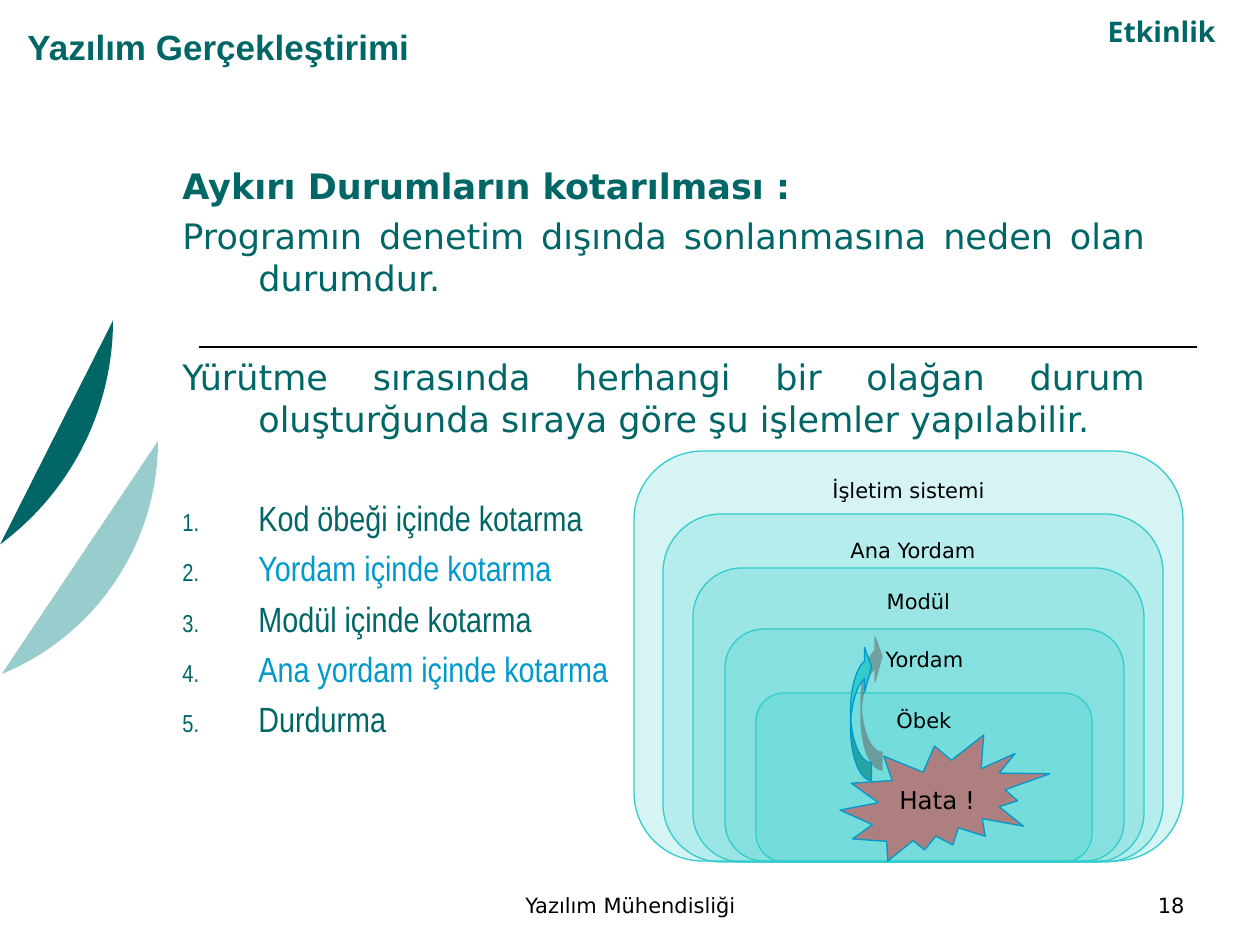
"""Builds the slide on exception handling with its nested scope diagram."""
from lxml import etree
from pptx import Presentation
from pptx.dml.color import RGBColor
from pptx.enum.shapes import MSO_CONNECTOR, MSO_SHAPE
from pptx.enum.text import MSO_ANCHOR, PP_ALIGN
from pptx.oxml.ns import qn
from pptx.util import Emu, Pt

STRAIGHT = MSO_CONNECTOR.STRAIGHT
CHORD, ROUNDED = MSO_SHAPE.CHORD, MSO_SHAPE.ROUNDED_RECTANGLE
BURST, CURVED_ARROW = MSO_SHAPE.EXPLOSION2, MSO_SHAPE.CURVED_UP_ARROW
LEFT, CENTER = PP_ALIGN.LEFT, PP_ALIGN.CENTER
RIGHT, JUSTIFY = PP_ALIGN.RIGHT, PP_ALIGN.JUSTIFY
TOP, MIDDLE, BOTTOM = MSO_ANCHOR.TOP, MSO_ANCHOR.MIDDLE, MSO_ANCHOR.BOTTOM

PX_PER_INCH = 126
TEAL, PALE, AQUA, BLUE, BLACK = "006666", "99CCCC", "33CCCC", "0099CC", "000000"
SANS, NARROW = "DejaVu Sans", "Arial Narrow"
LINE_GAP, BLOCK_GAP = 4.7, 32.6

INTRO = [
    ("Aykırı Durumların kotarılması :", True, 0, 0),
    ("Programın denetim dışında sonlanmasına neden olan durumdur.", False, LINE_GAP, 50),
    ("Yürütme sırasında herhangi bir olağan durum oluşturğunda sıraya göre "
     "şu işlemler yapılabilir.", False, BLOCK_GAP, 0),
]
STEPS = ["Kod öbeği içinde kotarma", "Yordam içinde kotarma", "Modül içinde kotarma",
         "Ana yordam içinde kotarma", "Durdurma"]
SCOPES = [
    ("İşletim sistemi", (634, 451, 549, 410)),
    ("Ana Yordam", (663, 514, 500, 348)),
    ("Modül", (693, 568, 451, 294)),
    ("Yordam", (725, 629, 399, 232)),
    ("Öbek", (756, 693, 336, 169)),
]


def px(length):
    """Turn pixels into EMU."""
    return Emu(round(length * 914400 / PX_PER_INCH))


def rgb(value):
    """Turn a hex string into a colour."""
    return RGBColor.from_string(value)


def add_run(paragraph, text, size, font, color, bold=False):
    """Add one formatted run."""
    run = paragraph.add_run()
    run.text = text
    run.font.size = Pt(size)
    run.font.name = font
    run.font.bold = bold
    run.font.color.rgb = rgb(color)
    return run


def add_label(slide, box, text, size, font, color, align, anchor=BOTTOM, bold=False):
    """Add a one-line text box and return its run."""
    frame = slide.shapes.add_textbox(*map(px, box)).text_frame
    frame.word_wrap = True
    frame.vertical_anchor = anchor
    paragraph = frame.paragraphs[0]
    paragraph.alignment = align
    return add_run(paragraph, text, size, font, color, bold)


def add_filled(slide, preset, box, fill, line=None, opacity=100):
    """Add a preset shape with a plain fill and an optional thin outline."""
    shape = slide.shapes.add_shape(preset, *map(px, box))
    shape.shadow.inherit = False
    shape.fill.solid()
    shape.fill.fore_color.rgb = rgb(fill)
    if opacity < 100:
        color = shape.fill._xPr.find(f".//{qn('a:srgbClr')}")
        etree.SubElement(color, qn("a:alpha"), val=str(opacity * 1000))
    if line:
        shape.line.color.rgb = rgb(line)
        shape.line.width = Pt(0.75)
    else:
        shape.line.fill.background()
    return shape


def write_inside(shape, text, size, anchor, wrap=True):
    """Write centred black text in a shape."""
    frame = shape.text_frame
    frame.word_wrap = wrap
    frame.vertical_anchor = anchor
    frame.paragraphs[0].alignment = CENTER
    add_run(frame.paragraphs[0], text, size, SANS, BLACK)


def add_circle_part(slide, box, angle, color):
    """Add a circle cut off at the left slide edge."""
    part = add_filled(slide, CHORD, box, color)
    part.adjustments[0] = -angle * 0.6
    part.adjustments[1] = angle * 0.6


def add_divider(slide, left, right, y):
    """Add the thin horizontal rule."""
    divider = slide.shapes.add_connector(STRAIGHT, px(left), px(y), px(right), px(y))
    divider.line.color.rgb = rgb(BLACK)
    divider.line.width = Pt(1)
    etree.SubElement(divider._element.spPr, qn("a:effectLst"))


def format_body(paragraph, gap, right_margin=0):
    """Justify a paragraph with a hanging indent and return its properties."""
    paragraph.alignment = JUSTIFY
    paragraph.space_before = Pt(gap)
    properties = paragraph._p.get_or_add_pPr()
    properties.set("marL", str(px(88)))
    properties.set("indent", str(-px(76)))
    if right_margin:
        properties.set("marR", str(px(right_margin)))
    return properties


def add_numbering(properties):
    """Number a paragraph with a small teal numeral."""
    color = etree.SubElement(properties, qn("a:buClr"))
    etree.SubElement(color, qn("a:srgbClr"), val=TEAL)
    etree.SubElement(properties, qn("a:buSzPct"), val="70000")
    etree.SubElement(properties, qn("a:buAutoNum"), type="arabicPeriod")


def add_body(slide):
    """Add the explanation and the numbered steps."""
    frame = slide.shapes.add_textbox(*map(px, (158, 158, 1050, 735))).text_frame
    frame.word_wrap = True
    for index, (text, bold, gap, right_margin) in enumerate(INTRO):
        paragraph = frame.add_paragraph() if index else frame.paragraphs[0]
        format_body(paragraph, gap, right_margin)
        add_run(paragraph, text, 20, SANS, TEAL, bold)
    for index, step in enumerate(STEPS):
        paragraph = frame.add_paragraph()
        add_numbering(format_body(paragraph, LINE_GAP if index else BLOCK_GAP))
        add_run(paragraph, step, 20, NARROW, BLUE if index % 2 else TEAL)


def add_escape_arrow(slide):
    """Add the curved arrow that leaves the inner scope, with its shadow."""
    arrow = add_filled(slide, CURVED_ARROW, (793, 702, 136, 21), AQUA, BLUE)
    for index, value in enumerate((0.844, 2.136, 0.333)):
        arrow.adjustments[index] = value
    arrow.rotation = 270
    properties = arrow._element.spPr
    properties.find(qn("a:xfrm")).set("flipV", "1")
    shadow = etree.SubElement(properties.find(qn("a:effectLst")), qn("a:outerShdw"),
                              dist=str(Pt(8.5)), dir=str(315 * 60000),
                              algn="ctr", rotWithShape="0")
    color = etree.SubElement(shadow, qn("a:srgbClr"), val="5F5F5F")
    etree.SubElement(color, qn("a:alpha"), val="50000")


def add_scopes(slide):
    """Add the nested scopes, the error burst and the arrow."""
    for name, box in SCOPES:
        scope = add_filled(slide, ROUNDED, box, AQUA, AQUA, 20)
        scope.adjustments[0] = 0.167
        write_inside(scope, name, 12, TOP)
    error = add_filled(slide, BURST, (840, 735, 210, 126), "FF0000", BLUE, 42)
    write_inside(error, "Hata !", 14, MIDDLE, wrap=False)
    add_escape_arrow(slide)


def main():
    """Build and save the slide."""
    deck = Presentation()
    deck.slide_width, deck.slide_height = px(1260), px(945)
    slide = deck.slides.add_slide(deck.slide_layouts[6])
    add_divider(slide, 199, 1197, 347)
    add_circle_part(slide, (-346, 189, 504, 504), 67.7, PALE)
    add_circle_part(slide, (-444, 42, 557, 557), 53.5, TEAL)
    add_label(slide, (431, 861, 399, 63), "Yazılım Mühendisliği", 12, SANS, BLACK, CENTER)
    add_label(slide, (903, 861, 294, 63), "18", 12, SANS, BLACK, RIGHT)
    add_body(slide)
    add_label(slide, (15, 21, 410, 53), "Yazılım Gerçekleştirimi", 20, "Arial", TEAL,
              LEFT, bold=True)
    activity = add_label(slide, (399, 0, 829, 73), "Etkinlik", 28, "Noto Sans", TEAL,
                         RIGHT, bold=True)
    activity.font._element.set("baseline", "30000")
    add_scopes(slide)
    deck.save("out.pptx")


if __name__ == "__main__":
    main()
